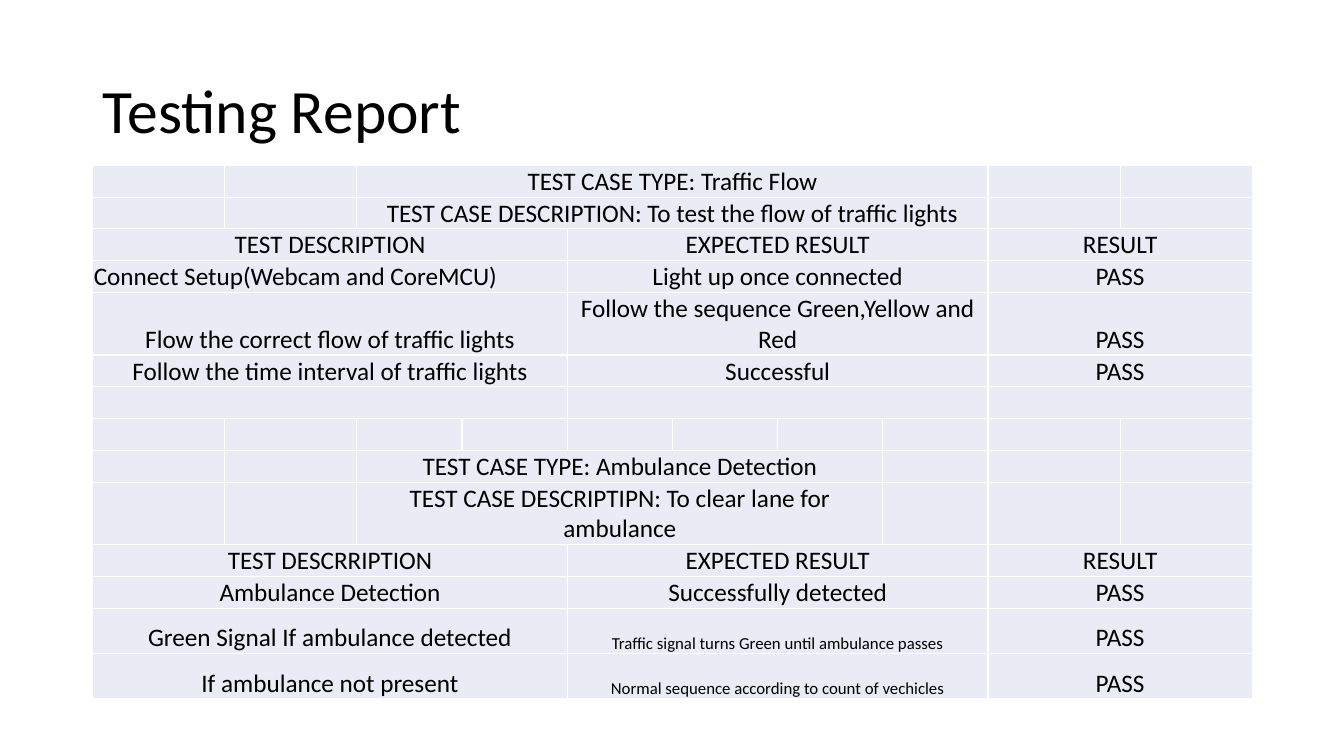
"""Build the Testing Report slide with its merged test case table."""
from pptx import Presentation, util as u
from pptx.dml.color import RGBColor
from pptx.enum import text

BLACK = RGBColor(0x00, 0x00, 0x00)
PALE_BLUE = RGBColor(0xE9, 0xEB, 0xF5)
FONT = "Calibri"

LEFT, WIDTH = 0.92, 11.5
OUTER_COL = 1.31
INNER_COL = (WIDTH - 4 * OUTER_COL) / 6
COLS = [OUTER_COL] * 2 + [INNER_COL] * 6 + [OUTER_COL] * 2
LINE, TWO_LINES, TALL = 0.31, 0.62, 0.45

WIDE_HEADING = [(2, 6)]
HEADING = [(2, 5)]
THIRDS = [(0, 4), (4, 4), (8, 2)]

ROWS = [
    (LINE, WIDE_HEADING, ["TEST CASE TYPE: Traffic Flow"]),
    (LINE, WIDE_HEADING, ["TEST CASE DESCRIPTION: To test the flow of traffic lights"]),
    (LINE, THIRDS, ["TEST DESCRIPTION", "EXPECTED RESULT", "RESULT"]),
    (LINE, THIRDS, ["Connect Setup(Webcam and CoreMCU)", "Light up once connected", "PASS"]),
    (TWO_LINES, THIRDS, ["Flow the correct flow of traffic lights",
                         "Follow the sequence Green,Yellow and Red", "PASS"]),
    (LINE, THIRDS, ["Follow the time interval of traffic lights", "Successful", "PASS"]),
    (LINE, THIRDS, ["", "", ""]),
    (LINE, [], []),
    (LINE, HEADING, ["TEST CASE TYPE: Ambulance Detection"]),
    (TWO_LINES, HEADING, ["TEST CASE DESCRIPTIPN: To clear lane for ambulance"]),
    (LINE, THIRDS, ["TEST DESCRRIPTION", "EXPECTED RESULT", "RESULT"]),
    (LINE, THIRDS, ["Ambulance Detection", "Successfully detected", "PASS"]),
    (TALL, THIRDS, ["Green Signal If ambulance detected",
                    "Traffic signal turns Green until ambulance passes", "PASS"]),
    (TALL, THIRDS, ["If ambulance not present",
                    "Normal sequence according to count of vechicles", "PASS"]),
]


def format_text(p, size, align):
    p.alignment = align
    for r in p.runs:
        r.font.name = FONT
        r.font.size = u.Pt(size)
        r.font.color.rgb = BLACK


prs = Presentation()
prs.slide_width, prs.slide_height = u.Inches(13.33), u.Inches(7.5)
s = prs.slides.add_slide(prs.slide_layouts[5])

title = s.shapes.title
title.left, title.top = u.Inches(LEFT), u.Inches(0.4)
title.width, title.height = u.Inches(WIDTH), u.Inches(1.45)
tf = title.text_frame
tf.text = "Testing Report"
tf.vertical_anchor = text.MSO_ANCHOR.MIDDLE
tf.paragraphs[0].line_spacing = 0.9
format_text(tf.paragraphs[0], 44, text.PP_ALIGN.LEFT)

height = sum(row[0] for row in ROWS)
table = s.shapes.add_table(len(ROWS), len(COLS), u.Inches(LEFT), u.Inches(1.64),
                           u.Inches(WIDTH), u.Inches(height)).table
table.first_row = False
table.horz_banding = False
for column, col_width in zip(table.columns, COLS):
    column.width = u.Inches(col_width)

for cell in table.iter_cells():
    cell.fill.solid()
    cell.fill.fore_color.rgb = PALE_BLUE
    cell.vertical_anchor = text.MSO_ANCHOR.BOTTOM
    cell.margin_left = cell.margin_right = cell.margin_top = u.Inches(0.01)
    cell.margin_bottom = 0

for i, (row_height, spans, labels) in enumerate(ROWS):
    table.rows[i].height = u.Inches(row_height)
    for (start, span), label in zip(spans, labels):
        cell = table.cell(i, start)
        cell.merge(table.cell(i, start + span - 1))
        cell.text = label
        size = 12 if row_height == TALL and start == 4 else 18
        align = text.PP_ALIGN.LEFT if label.startswith("Connect") else text.PP_ALIGN.CENTER
        format_text(cell.text_frame.paragraphs[0], size, align)

prs.save("out.pptx")
